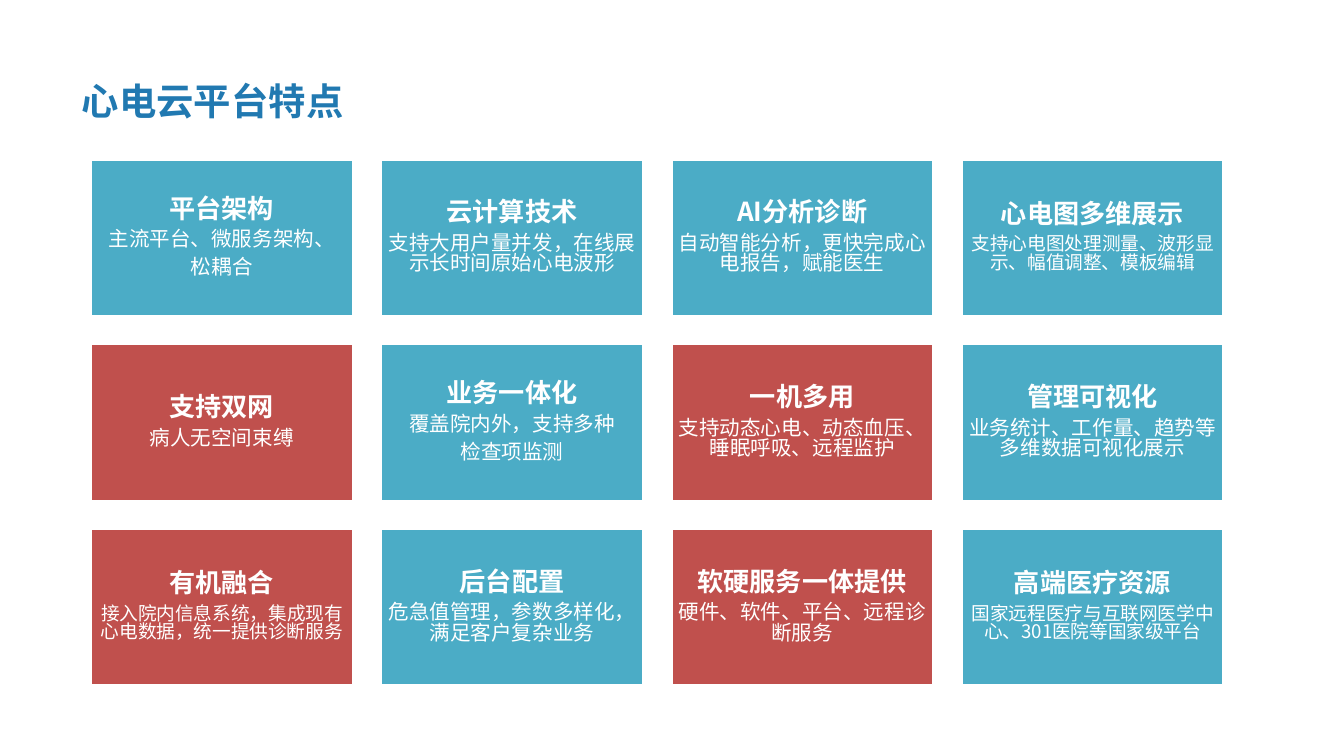
import pptx
import pptx.dml.color
import pptx.enum.shapes
import pptx.enum.text
import pptx.oxml.ns
import pptx.util
from lxml import etree

Pt = pptx.util.Pt
FONT = "Noto Sans CJK SC"
TEAL, RED, WHITE, BLUE = "4BACC6", "C0504D", "FFFFFF", "2179B1"

# Content: heading, description paragraphs, description size, fill
HEADLINE = "心电云平台特点"
FEATURES = [
    ("平台架构", ["主流平台、微服务架构、", "松耦合"], 11, TEAL),
    ("云计算技术", ["支持大用户量并发，在线展示长时间原始心电波形"], 11, TEAL),
    ("AI分析诊断", ["自动智能分析，更快完成心电报告，赋能医生"], 11, TEAL),
    ("心电图多维展示", ["支持心电图处理测量、波形显示、幅值调整、模板编辑"], 10, TEAL),
    ("支持双网", ["病人无空间束缚"], 11, RED),
    ("业务一体化", ["覆盖院内外，支持多种", "检查项监测"], 11, TEAL),
    ("一机多用", ["支持动态心电、动态血压、睡眠呼吸、远程监护"], 11, RED),
    ("管理可视化", ["业务统计、工作量、趋势等多维数据可视化展示"], 11, TEAL),
    ("有机融合", ["接入院内信息系统，集成现有心电数据，统一提供诊断服务"], 10, RED),
    ("后台配置", ["危急值管理，参数多样化，满足客户复杂业务"], 11, TEAL),
    ("软硬服务一体提供", ["硬件、软件、平台、远程诊断服务"], 11, RED),
    ("高端医疗资源", ["国家远程医疗与互联网医学中心、301医院等国家级平台"], 10, TEAL),
]

# Grid of cards
COLUMNS = 4
LEFT, TOP = 48.3, 85.2
CARD_W, CARD_H = 141.1, 84.7
GAP_X, GAP_Y = 14.4, 14.2
INSET = 4.2


def rgb(color):
    return pptx.dml.color.RGBColor.from_string(color)


def style(paragraph, size, color, bold):
    font = paragraph.font
    font.size, font.bold, font.name = Pt(size), bold, FONT
    font.color.rgb = rgb(color)
    # East Asian typeface follows the Latin one
    qn = pptx.oxml.ns.qn
    defaults = paragraph._p.pPr.find(qn("a:defRPr"))
    etree.SubElement(defaults, qn("a:ea")).set("typeface", FONT)


def add_card(slide, index, heading, description, size, fill):
    row, column = divmod(index, COLUMNS)
    card = slide.shapes.add_shape(
        pptx.enum.shapes.MSO_SHAPE.RECTANGLE,
        Pt(LEFT + column * (CARD_W + GAP_X)), Pt(TOP + row * (CARD_H + GAP_Y)),
        Pt(CARD_W), Pt(CARD_H))
    card.shadow.inherit = False
    card.fill.solid()
    card.fill.fore_color.rgb = rgb(fill)
    card.line.color.rgb = rgb(WHITE)
    card.line.width = Pt(2)

    frame = card.text_frame
    frame.word_wrap = True
    frame.vertical_anchor = pptx.enum.text.MSO_ANCHOR.MIDDLE
    frame.margin_left = frame.margin_right = Pt(INSET)
    frame.margin_top = frame.margin_bottom = Pt(INSET)
    frame.text = "\n".join([heading, *description])
    for number, paragraph in enumerate(frame.paragraphs):
        paragraph.alignment = pptx.enum.text.PP_ALIGN.CENTER
        paragraph.line_spacing = 0.82
        paragraph.space_after = Pt(4)
        is_heading = number == 0
        style(paragraph, 14 if is_heading else size, WHITE, is_heading)


presentation = pptx.Presentation()
presentation.slide_width, presentation.slide_height = Pt(720), Pt(405)
slide = presentation.slides.add_slide(presentation.slide_layouts[6])

# Headline
headline = slide.shapes.add_textbox(Pt(36.7), Pt(1.4), Pt(617.8), Pt(67.7)).text_frame
headline.word_wrap = True
headline.vertical_anchor = pptx.enum.text.MSO_ANCHOR.MIDDLE
headline.text = HEADLINE
headline.paragraphs[0].line_spacing = Pt(60.8)
style(headline.paragraphs[0], 20, BLUE, True)

# Feature cards
for index, feature in enumerate(FEATURES):
    add_card(slide, index, *feature)

presentation.save("out.pptx")
